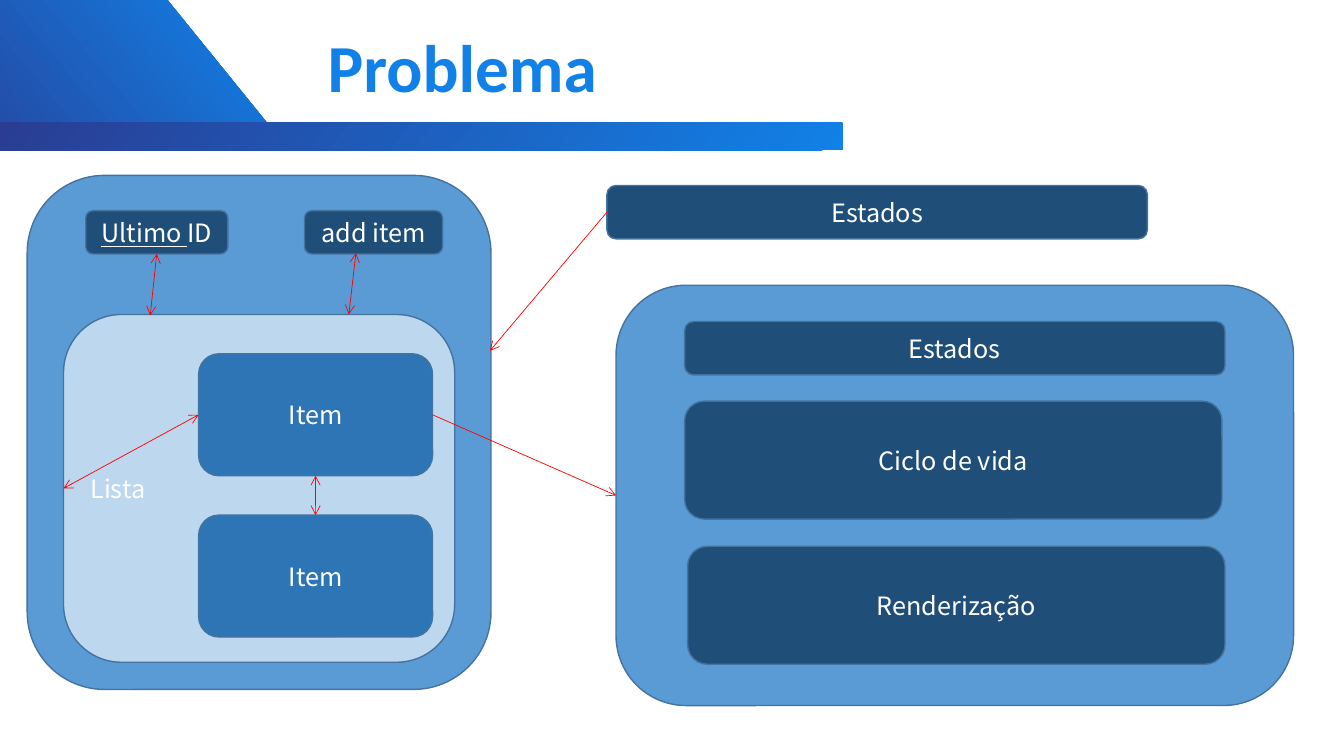
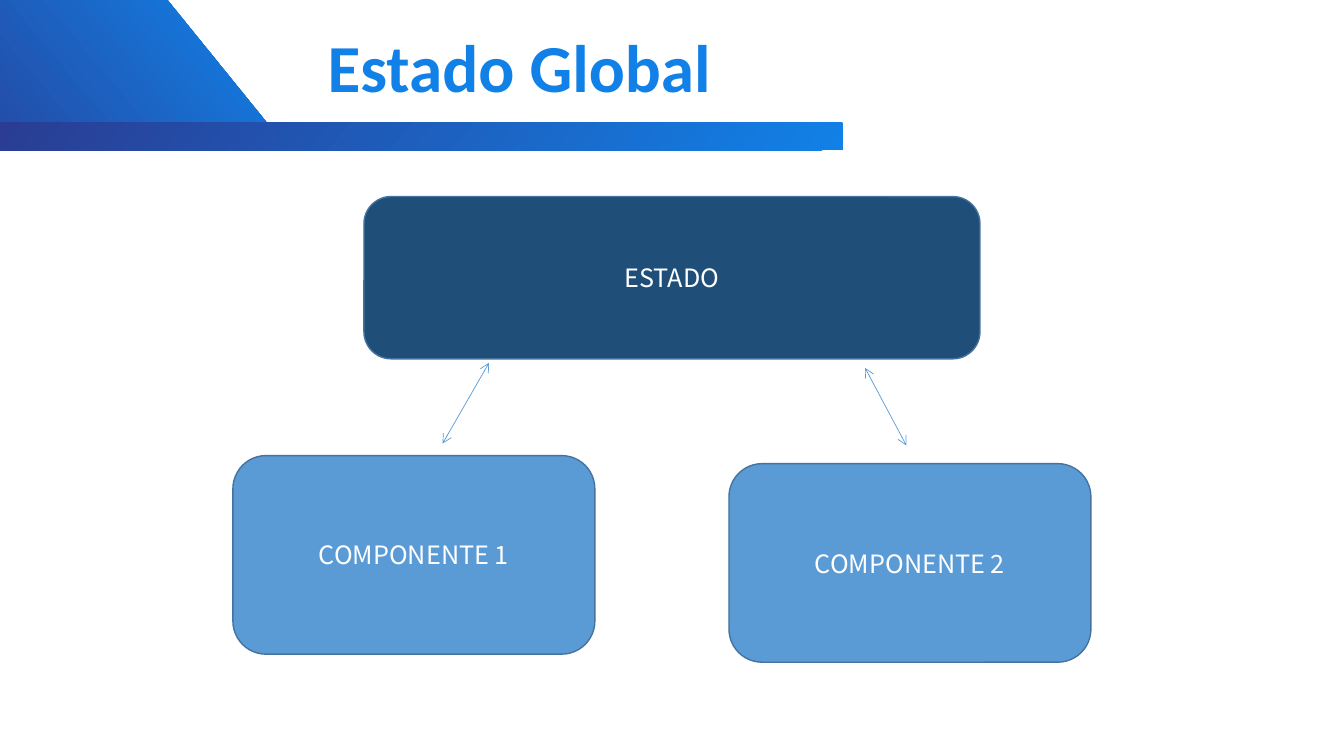
"""Build two slides on component state: the problem and the global state."""
from lxml.etree import SubElement
from pptx import Presentation
from pptx.dml.color import RGBColor
from pptx.enum.shapes import MSO_CONNECTOR, MSO_SHAPE
from pptx.enum.text import MSO_ANCHOR, MSO_AUTO_SIZE, PP_ALIGN
from pptx.oxml.ns import qn
from pptx.util import Inches, Pt

AZURE = RGBColor(0x11, 0x81, 0xE7)
INDIGO = RGBColor(0x2B, 0x39, 0x8F)
NAVY = RGBColor(0x1F, 0x4E, 0x79)
BLUE = RGBColor(0x2E, 0x75, 0xB6)
SKY = RGBColor(0x5B, 0x9B, 0xD5)
PALE = RGBColor(0xBD, 0xD7, 0xEE)
EDGE = RGBColor(0x43, 0x73, 0x9E)
RED = RGBColor(0xFF, 0x00, 0x00)
WHITE = RGBColor(0xFF, 0xFF, 0xFF)
HEAD_FONT = "Calibri"
TEXT_FONT = "Noto Sans CJK SC"
TOP, LEFT, BOTTOM, RIGHT = range(4)


def style(run, font, size, color, bold=False):
    """Format one run of text."""
    run.font.name = font
    run.font.size = Pt(size)
    run.font.color.rgb = color
    run.font.bold = bold


def add_band(slide, kind, *place):
    """Add a borderless band with the blue gradient."""
    band = slide.shapes.add_shape(kind, *map(Inches, place))
    band.shadow.inherit = False
    band.line.fill.background()
    band.fill.gradient()
    band.fill.gradient_angle = 140
    for stop, color in zip(band.fill.gradient_stops, (AZURE, INDIGO)):
        stop.color.rgb = color
    return band


def set_layout(slide):
    """Place the title and move the shared bands to the slide's layout."""
    layout = slide.slide_layout
    title = layout.placeholders[0]
    title.left, title.top = Inches(3.15), Inches(0.2)
    title.width, title.height = Inches(9), Inches(0.91)
    slant = add_band(slide, MSO_SHAPE.PARALLELOGRAM, -1.49, 0, 4.18, 1.27)
    slant.adjustments[0] = 0.81
    slant._element.spPr.find(qn("a:xfrm")).set("flipV", "1")
    bar = add_band(slide, MSO_SHAPE.RECTANGLE, -0.41, 1.22, 8.77, 0.27)
    for index, band in enumerate((slant, bar), 2):
        layout.shapes._spTree.insert(index, band._element)


def set_title(slide, text):
    """Fill and format the title placeholder."""
    frame = slide.shapes.title.text_frame
    frame.text = text
    frame.word_wrap = True
    frame.auto_size = MSO_AUTO_SIZE.NONE
    frame.vertical_anchor = MSO_ANCHOR.TOP
    line = frame.paragraphs[0]
    line.alignment = PP_ALIGN.LEFT
    style(line.runs[0], HEAD_FONT, 48, AZURE, True)


def add_box(slide, place, fill, text="", align=PP_ALIGN.CENTER):
    """Add a rounded box with an optional label."""
    box = slide.shapes.add_shape(MSO_SHAPE.ROUNDED_RECTANGLE,
                                 *map(Inches, place))
    box.shadow.inherit = False
    box.fill.solid()
    box.fill.fore_color.rgb = fill
    box.line.color.rgb = EDGE
    box.line.width = Pt(1)
    if text:
        frame = box.text_frame
        frame.text = text
        frame.word_wrap = True
        frame.vertical_anchor = MSO_ANCHOR.MIDDLE
        line = frame.paragraphs[0]
        line.alignment = align
        style(line.runs[0], TEXT_FONT, 18, WHITE)
    return box


def add_arrow(slide, start, end, color, both=True):
    """Add an arrow; each end is a point or a box with its side."""
    arrow = slide.shapes.add_connector(MSO_CONNECTOR.STRAIGHT, 0, 0, 0, 0)
    first, second = start
    if isinstance(first, (int, float)):
        arrow.begin_x, arrow.begin_y = Inches(first), Inches(second)
    else:
        arrow.begin_connect(first, second)
    first, second = end
    if isinstance(first, (int, float)):
        arrow.end_x, arrow.end_y = Inches(first), Inches(second)
    else:
        arrow.end_connect(first, second)
    arrow.line.color.rgb = color
    arrow.line.width = Pt(0.5)
    line = arrow.line._get_or_add_ln()
    for tag in ("a:headEnd", "a:tailEnd") if both else ("a:tailEnd",):
        SubElement(line, qn(tag), type="arrow")
    SubElement(arrow._element.spPr, qn("a:effectLst"))


def draw_problem(slide):
    """Draw the list, its items and the parts of one item."""
    set_title(slide, "Problema")
    add_box(slide, (0.27, 1.74, 4.6, 5.1), SKY)
    last = add_box(slide, (0.85, 2.09, 1.41, 0.43), NAVY, "Ultimo ")
    line = last.text_frame.paragraphs[0]
    line.runs[0].font.underline = True
    run = line.add_run()
    run.text = "ID"
    style(run, TEXT_FONT, 18, WHITE)
    group = add_box(slide, (0.63, 3.12, 3.88, 3.45), PALE, "Lista",
                    PP_ALIGN.LEFT)
    upper, lower = [add_box(slide, (1.97, top, 2.32, 1.21), BLUE, "Item")
                    for top in (3.51, 5.11)]
    add_box(slide, (3.02, 2.09, 1.37, 0.43), NAVY, "add item")
    detail = add_box(slide, (6.11, 2.83, 6.72, 4.17), SKY)
    add_box(slide, (6.79, 3.19, 5.36, 0.53), NAVY, "Estados")
    add_box(slide, (6.79, 3.98, 5.33, 1.17), NAVY, "Ciclo de vida")
    add_box(slide, (6.82, 5.42, 5.33, 1.17), NAVY, "Renderização")
    states = add_box(slide, (6.02, 1.84, 5.36, 0.53), NAVY, "Estados")
    add_arrow(slide, (upper, RIGHT), (detail, LEFT), RED, False)
    add_arrow(slide, (upper, BOTTOM), (lower, TOP), RED)
    add_arrow(slide, (1.49, 3.13), (last, BOTTOM), RED)
    add_arrow(slide, (upper, LEFT), (group, LEFT), RED)
    add_arrow(slide, (3.46, 3.12), (3.53, 2.51), RED)
    add_arrow(slide, (states, LEFT), (4.86, 3.48), RED, False)


def draw_global(slide):
    """Draw the global state shared by two components."""
    set_title(slide, "Estado Global")
    add_box(slide, (3.61, 1.95, 6.11, 1.61), NAVY, "ESTADO")
    add_box(slide, (2.31, 4.52, 3.59, 1.97), SKY, "COMPONENTE 1")
    add_box(slide, (7.23, 4.6, 3.59, 1.97), SKY, "COMPONENTE 2")
    add_arrow(slide, (4.85, 3.6), (4.39, 4.4), SKY)
    add_arrow(slide, (8.58, 3.65), (8.99, 4.42), SKY)


def main():
    """Build and save the deck."""
    deck = Presentation()
    deck.slide_width, deck.slide_height = Inches(13.33), Inches(7.5)
    layout = deck.slide_layouts[5]
    first, second = [deck.slides.add_slide(layout) for _ in range(2)]
    set_layout(first)
    draw_problem(first)
    draw_global(second)
    deck.save("out.pptx")


if __name__ == "__main__":
    main()
